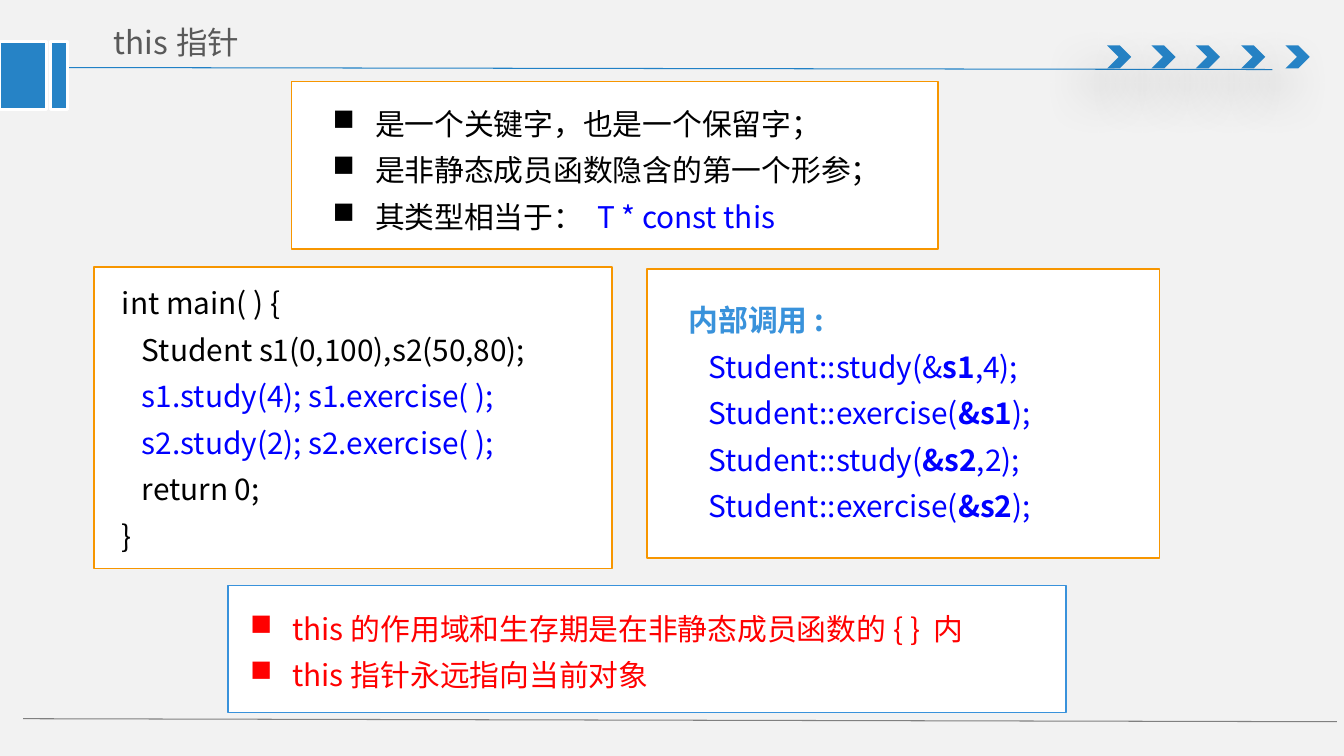
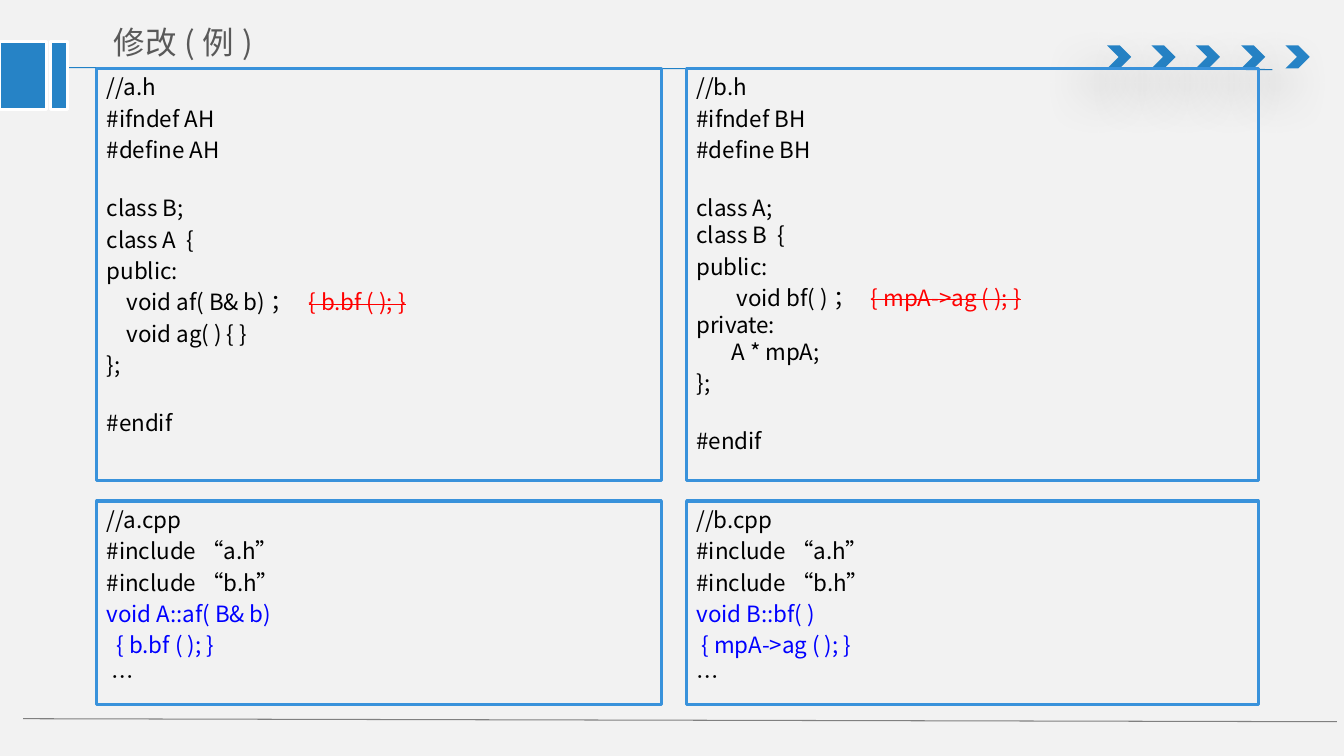
from dataclasses import dataclass

from lxml.etree import SubElement
from pptx import Presentation
from pptx.dml.color import RGBColor
from pptx.enum.shapes import MSO_CONNECTOR, MSO_SHAPE
from pptx.enum.text import MSO_ANCHOR, PP_ALIGN
from pptx.oxml.ns import qn
from pptx.util import Pt

PX = 9144  # EMU, 100 px to the inch
FONT = "Noto Sans CJK SC"

BACKGROUND = RGBColor(0xF2, 0xF2, 0xF2)
ACCENT = RGBColor(0x26, 0x83, 0xC6)
RULE_BLUE = RGBColor(0x21, 0x81, 0xC6)
RULE_GRAY = RGBColor(0x80, 0x80, 0x80)
TITLE_GRAY = RGBColor(0x59, 0x59, 0x59)
FRAME_BLUE = RGBColor(0x39, 0x92, 0xDB)
ORANGE = RGBColor(0xF7, 0x96, 0x00)
WHITE = RGBColor(0xFF, 0xFF, 0xFF)
BLACK = RGBColor(0, 0, 0)
BLUE = RGBColor(0, 0, 0xFF)
RED = RGBColor(0xFF, 0, 0)


@dataclass(frozen=True)
class Span:
    text: str
    color: RGBColor = BLACK
    bold: bool = False
    strike: bool = False


@dataclass(frozen=True)
class TextStyle:
    """Sizes in points; gap is the usual space before a paragraph."""
    size: float
    pitch: float
    gap: float = 0
    bullet: bool = False


@dataclass(frozen=True)
class Line:
    """One paragraph; gap replaces the space before it given by the style."""
    spans: tuple
    gap: float | None = None


LARGE = TextStyle(21.3, 33.2)
LARGE_BULLETS = TextStyle(21.3, 33.2, bullet=True)
LISTING = TextStyle(16, 19.2, gap=3.2)
TIGHT = 0
APART = LISTING.gap + LISTING.pitch


def line(*parts, color=BLACK, gap=None):
    """Build a Line from spans and plain strings, the strings in one colour."""
    spans = tuple(Span(part, color) if isinstance(part, str) else part
                  for part in parts)
    return Line(spans, gap)


def lines(*texts, color=BLACK):
    return [line(text, color=color) for text in texts]


def call(before, argument, after):
    """A call whose hidden object argument stands out in bold."""
    return line(before, Span(argument, BLUE, bold=True), after, color=BLUE)


def add_span(paragraph, span, size):
    run = paragraph.add_run()
    run.text = span.text
    run.font.size = Pt(size)
    run.font.name = FONT
    run.font.bold = span.bold
    run.font.color.rgb = span.color
    properties = run.font._element
    SubElement(properties, qn("a:ea"), typeface=FONT)
    if span.strike:
        properties.set("strike", "sngStrike")


def add_bullet(paragraph):
    properties = paragraph._p.get_or_add_pPr()
    properties.set("marL", str(42 * PX))
    properties.set("indent", str(-42 * PX))
    SubElement(properties, qn("a:buChar"), char="■")


def set_insets(frame, left, top):
    frame.word_wrap = True
    frame.margin_left = frame.margin_right = left * PX
    frame.margin_top = frame.margin_bottom = top * PX


def write_lines(frame, content, style):
    for index, item in enumerate(content):
        paragraph = frame.add_paragraph() if index else frame.paragraphs[0]
        if style.bullet:
            add_bullet(paragraph)
        paragraph.alignment = PP_ALIGN.LEFT
        paragraph.line_spacing = Pt(style.pitch)
        if index:
            paragraph.space_before = Pt(style.gap if item.gap is None else item.gap)
        for span in item.spans:
            add_span(paragraph, span, style.size)


def add_box(page, kind, area, fill=None, border=None, width=1.25):
    box = page.shapes.add_shape(kind, *(length * PX for length in area))
    box.shadow.inherit = False
    if fill is None:
        box.fill.background()
    else:
        box.fill.solid()
        box.fill.fore_color.rgb = fill
    if border is None:
        box.line.fill.background()
    else:
        box.line.color.rgb = border
        box.line.width = Pt(width)
    return box


def add_panel(page, area, content, style, insets, **look):
    panel = add_box(page, MSO_SHAPE.RECTANGLE, area, **look)
    frame = panel.text_frame
    frame.vertical_anchor = MSO_ANCHOR.TOP
    set_insets(frame, *insets)
    write_lines(frame, content, style)


def add_rule(page, start, end, color):
    rule = page.shapes.add_connector(
        MSO_CONNECTOR.STRAIGHT, *(length * PX for length in start + end))
    rule.line.color.rgb = color
    rule.line.width = Pt(0.75)
    SubElement(rule._element.spPr, qn("a:effectLst"))


def add_soft_shadow(box):
    effects = box._element.spPr.find(qn("a:effectLst"))
    shadow = SubElement(effects, qn("a:outerShdw"), blurRad=str(Pt(36)),
                        dist=str(Pt(24)), dir=str(130 * 60000), rotWithShape="0")
    color = SubElement(shadow, qn("a:srgbClr"), val=str(BLACK))
    SubElement(color, qn("a:alpha"), val="38000")


def add_title(page, title):
    box = page.shapes.add_textbox(99 * PX, 14 * PX, 463 * PX, 55 * PX)
    frame = box.text_frame
    frame.vertical_anchor = MSO_ANCHOR.MIDDLE
    set_insets(frame, 14, 7)
    add_span(frame.paragraphs[0], Span(title, TITLE_GRAY), 22.5)


def add_page(deck, title):
    """Add a page with the rules, chevrons, corner blocks and title."""
    page = deck.slides.add_slide(deck.slide_layouts[6])
    add_rule(page, (53, 67), (1262, 69), RULE_BLUE)
    for index in range(5):
        chevron = add_box(page, MSO_SHAPE.CHEVRON,
                          (1098 + round(44.25 * index), 45, 24, 23), fill=ACCENT)
        add_soft_shadow(chevron)
    add_rule(page, (23, 713), (1326, 716), RULE_GRAY)
    for left, width in ((0, 46), (50, 17)):
        add_box(page, MSO_SHAPE.RECTANGLE, (left, 41, width, 68),
                fill=ACCENT, border=WHITE, width=2)
    add_title(page, title)
    return page


def build_pointer_page(deck):
    page = add_page(deck, "this指针")
    facts = lines("是一个关键字，也是一个保留字；", "是非静态成员函数隐含的第一个形参；")
    facts.append(line("其类型相当于： ", Span("T * const this", BLUE)))
    program = [
        *lines("int main( ) {", "   Student s1(0,100),s2(50,80);"),
        *lines("   s1.study(4); s1.exercise( );",
               "   s2.study(2); s2.exercise( );", color=BLUE),
        *lines("   return 0;", "}"),
    ]
    inner_calls = [
        line(Span("内部调用:", FRAME_BLUE, bold=True)),
        call("   Student::study(&", "s1", ",4);"),
        call("   Student::exercise(", "&s1", ");"),
        call("   Student::study(", "&s2", ",2);"),
        call("   Student::exercise(", "&s2", ");"),
    ]
    scope = lines("this的作用域和生存期是在非静态成员函数的{ } 内",
                  "this指针永远指向当前对象", color=RED)
    for area, content, style, insets, border in (
        ((289, 81, 641, 166), facts, LARGE_BULLETS, (41, 13), ORANGE),
        ((93, 265, 514, 299), program, LARGE, (28, 7), ORANGE),
        ((642, 267, 508, 287), inner_calls, LARGE, (41, 22), ORANGE),
        ((226, 581, 831, 126), scope, LARGE_BULLETS, (22, 14), FRAME_BLUE),
    ):
        add_panel(page, area, content, style, insets, fill=WHITE, border=border)


def header_start(name, other):
    return [
        *lines(f"//{name.lower()}.h", f"#ifndef {name}H", f"#define {name}H"),
        line(f"class {other};", gap=APART),
    ]


def source_file(name, signature, body, rest):
    return [
        *lines(f"//{name}.cpp", "#include “a.h”", "#include “b.h”"),
        *lines(signature, body, color=BLUE),
        line(rest),
    ]


def build_example_page(deck):
    page = add_page(deck, "修改(例)")
    header_end = [line("};"), line("#endif", gap=APART)]
    header_a = [
        *header_start("A", "B"),
        *lines("class A  {", "public:"),
        line("    void af( B& b)；  ", Span("{ b.bf ( ); }", RED, strike=True)),
        line("    void ag( ) { }"),
        *header_end,
    ]
    header_b = [
        *header_start("B", "A"),
        line("class B  {", gap=TIGHT),
        line("public:"),
        line("        void bf( )；  ", Span("{ mpA->ag ( ); }", RED, strike=True)),
        line("private:", gap=TIGHT),
        line("       A * mpA;", gap=TIGHT),
        *header_end,
    ]
    source_a = source_file("a", "void A::af( B& b)", "  { b.bf ( ); }", " …")
    source_b = source_file("b", "void B::bf( )", " { mpA->ag ( ); }", "…")
    columns = ((96, 560, header_a, source_a), (681, 567, header_b, source_b))
    for left, width, header, source in columns:
        for top, height, content in ((68, 409, header), (497, 202, source)):
            add_panel(page, (left, top, width, height), content, LISTING,
                      (10, 5), border=FRAME_BLUE, width=2.25)


def main():
    deck = Presentation()
    deck.slide_width = 1333 * PX
    deck.slide_height = 750 * PX
    backdrop = deck.slide_master.background.fill
    backdrop.solid()
    backdrop.fore_color.rgb = BACKGROUND
    build_pointer_page(deck)
    build_example_page(deck)
    deck.save("out.pptx")


if __name__ == "__main__":
    main()
